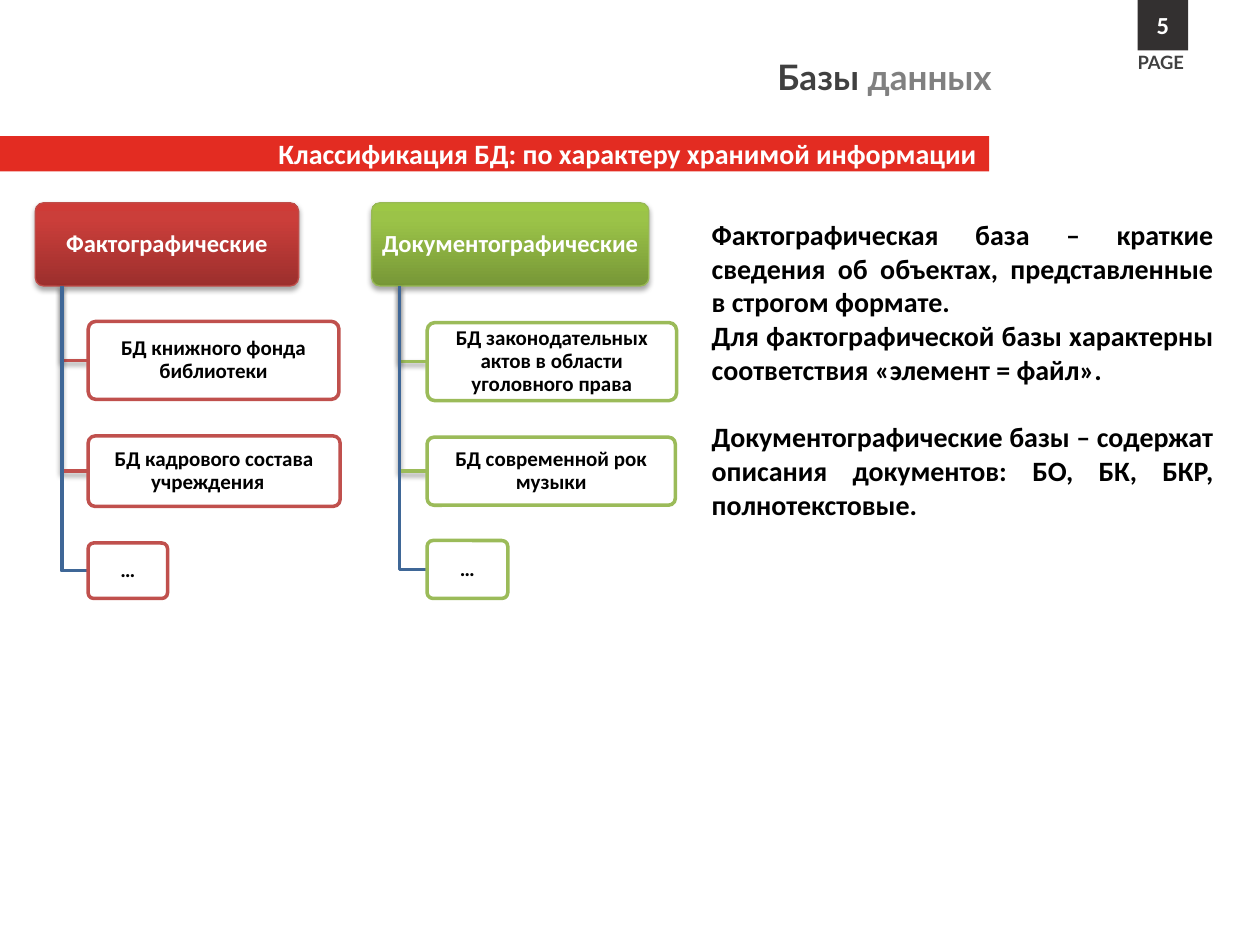
from copy import deepcopy
from dataclasses import dataclass

from lxml import etree
from pptx import Presentation
from pptx import util as u
from pptx.dml.color import RGBColor
from pptx.enum import shapes, text
from pptx.oxml.ns import qn

COLORS = {
    "banner": "E32C22", "badge": "333030", "dark": "404040", "grey": "808080",
    "white": "FFFFFF", "black": "000000", "stem": "3F6797",
    "red": "C0504D", "red_edge": "BF4C48",
    "green": "9BBB59", "green_edge": "98B955",
}
GRADIENTS = {
    "red": ("9C2F2D", "CB3E3A", "CE3B37"),
    "green": ("779737", "9BC348", "9DC746"),
}
STOPS = (0, 0.8, 1)
HEADER_TOP, HEADER_HEIGHT = 1.61, 0.66
NODE_INSETS = (0.03, 0.02, 0.03, 0.02)


@dataclass(frozen=True)
class Node:
    label: str
    top: float
    width: float
    height: float


@dataclass(frozen=True)
class Branch:
    title: str
    color: str
    left: float
    width: float
    stem: float
    child_left: float
    nodes: tuple[Node, ...]


BRANCHES = (
    Branch("Фактографические", "red", 0.28, 2.09, 0.49, 0.7, (
        Node("БД книжного фонда библиотеки", 2.55, 1.99, 0.62),
        Node("БД кадрового состава учреждения\t", 3.46, 2, 0.56),
        Node("…", 4.31, 0.63, 0.44),
    )),
    Branch("Документографические", "green", 2.95, 2.2, 3.17, 3.39, (
        Node("БД законодательных актов в области уголовного права", 2.56, 1.98, 0.62),
        Node("БД современной рок музыки", 3.47, 1.97, 0.54),
        Node("…", 4.29, 0.64, 0.46),
    )),
)
DEFINITIONS = (
    ("Фактографическая база – краткие сведения об объектах, представленные в строгом формате.", 0),
    ("Для фактографической базы характерны соответствия «элемент = файл».", 0),
    ("Документографические базы – содержат описания документов: БО, БК, БКР, полнотекстовые.", 19.5),
)


def rgb(name: str) -> RGBColor:
    return RGBColor.from_string(COLORS[name])


def add_span(para, content: str, *, size: float, color: str, font: str = "Calibri") -> None:
    span = para.add_run()
    span.text = content
    span.font.name = font
    span.font.size = u.Pt(size)
    span.font.bold = True
    span.font.color.rgb = rgb(color)


def write(box, content: str, *, size: float, color: str, font: str = "Calibri",
          align=text.PP_ALIGN.CENTER, anchor=text.MSO_ANCHOR.MIDDLE,
          insets=(0.1, 0.05, 0.1, 0.05), spacing: float = 1, wrap: bool = True):
    frame = box.text_frame
    frame.word_wrap = wrap
    frame.vertical_anchor = anchor
    (frame.margin_left, frame.margin_top,
     frame.margin_right, frame.margin_bottom) = map(u.Inches, insets)
    para = frame.paragraphs[0]
    para.alignment = align
    para.line_spacing = spacing
    add_span(para, content, size=size, color=color, font=font)
    return para


def add_text_box(page, left: float, top: float, width: float, height: float):
    return page.shapes.add_textbox(*map(u.Inches, (left, top, width, height)))


def add_block(page, left: float, top: float, width: float, height: float, *,
              fill: str, line: str | None = None, weight: float = 2, rounded: bool = False):
    kind = shapes.MSO_SHAPE.ROUNDED_RECTANGLE if rounded else shapes.MSO_SHAPE.RECTANGLE
    box = page.shapes.add_shape(kind, *map(u.Inches, (left, top, width, height)))
    box.shadow.inherit = False
    if rounded:
        box.adjustments[0] = 0.1
    box.fill.solid()
    box.fill.fore_color.rgb = rgb(fill)
    if line:
        box.line.color.rgb = rgb(line)
        box.line.width = u.Pt(weight)
    else:
        box.line.fill.background()
    return box


def add_shadow(box, opacity: int, distance: float) -> None:
    effects = box._element.spPr.find(qn("a:effectLst"))
    shadow = etree.SubElement(effects, qn("a:outerShdw"), blurRad=str(u.Pt(3.1)),
                              dist=str(u.Pt(distance)), dir="5400000", rotWithShape="0")
    tint = etree.SubElement(shadow, qn("a:srgbClr"), val=COLORS["black"])
    etree.SubElement(tint, qn("a:alpha"), val=str(opacity * 1000))


def fill_gradient(box, colors: tuple[str, ...]) -> None:
    box.fill.gradient()
    box.fill.gradient_angle = 90
    stop_list = box._element.spPr.find(qn("a:gradFill")).find(qn("a:gsLst"))
    stop_list.append(deepcopy(stop_list[-1]))
    for stop, position, color in zip(box.fill.gradient_stops, STOPS, colors):
        stop.position = position
        stop.color.rgb = RGBColor.from_string(color)


def add_elbow(page, branch: Branch, node: Node, color: str, shaded: bool) -> None:
    start = u.Inches(HEADER_TOP + HEADER_HEIGHT)
    middle = u.Inches(node.top + node.height / 2)
    stem = u.Inches(branch.stem)
    builder = page.shapes.build_freeform(stem, start)
    builder.add_line_segments([(stem, middle), (u.Inches(branch.child_left), middle)], close=False)
    elbow = builder.convert_to_shape()
    elbow.shadow.inherit = False
    elbow.fill.background()
    elbow.line.color.rgb = rgb(color)
    elbow.line.width = u.Pt(2)
    if shaded:
        add_shadow(elbow, 38, 1.6)


def draw_branch(page, branch: Branch) -> None:
    header = add_block(page, branch.left, HEADER_TOP, branch.width, HEADER_HEIGHT,
                       fill=branch.color, line=f"{branch.color}_edge", weight=0.75, rounded=True)
    fill_gradient(header, GRADIENTS[branch.color])
    add_shadow(header, 35, 1.8)
    write(header, branch.title, size=14, color="white", insets=NODE_INSETS, spacing=0.9)
    for node in branch.nodes:
        last = node is branch.nodes[-1]
        add_elbow(page, branch, node, "stem" if last else branch.color, not last)
        box = add_block(page, branch.child_left, node.top, node.width, node.height,
                        fill="white", line=branch.color, rounded=True)
        write(box, node.label, size=12, color="black", insets=NODE_INSETS, spacing=0.9)


def draw_frame(page) -> None:
    banner = add_block(page, 0, 1.08, 7.85, 0.28, fill="banner")
    write(banner, "Классификация БД: по характеру хранимой информации",
          size=16, color="white", align=text.PP_ALIGN.RIGHT)
    caption = add_text_box(page, 8.93, 0.36, 0.59, 0.28)
    write(caption, "PAGE", size=10.5, color="dark", font="Lato", wrap=False,
          align=text.PP_ALIGN.LEFT, anchor=text.MSO_ANCHOR.TOP)
    badge = add_block(page, 9.03, 0, 0.4, 0.4, fill="badge")
    write(badge, "5", size=14, color="white")
    title = add_text_box(page, 0.15, 0.39, 7.82, 0.44)
    para = write(title, "Базы ", size=20, color="dark", font="Lato",
                 align=text.PP_ALIGN.RIGHT, anchor=text.MSO_ANCHOR.TOP)
    add_span(para, "данных", size=20, color="grey", font="Lato")


def draw_definitions(page) -> None:
    box = add_text_box(page, 5.55, 1.68, 4.18, 3.06)
    (first, _), *others = DEFINITIONS
    write(box, first, size=16, color="black",
          align=text.PP_ALIGN.JUSTIFY, anchor=text.MSO_ANCHOR.TOP)
    for content, gap in others:
        para = box.text_frame.add_paragraph()
        para.alignment = text.PP_ALIGN.JUSTIFY
        para.space_before = u.Pt(gap)
        add_span(para, content, size=16, color="black")


def main() -> None:
    deck = Presentation()
    deck.slide_width, deck.slide_height = u.Inches(10), u.Inches(7.5)
    page = deck.slides.add_slide(deck.slide_layouts[6])
    draw_frame(page)
    for branch in BRANCHES:
        draw_branch(page, branch)
    draw_definitions(page)
    deck.save("out.pptx")


if __name__ == "__main__":
    main()
